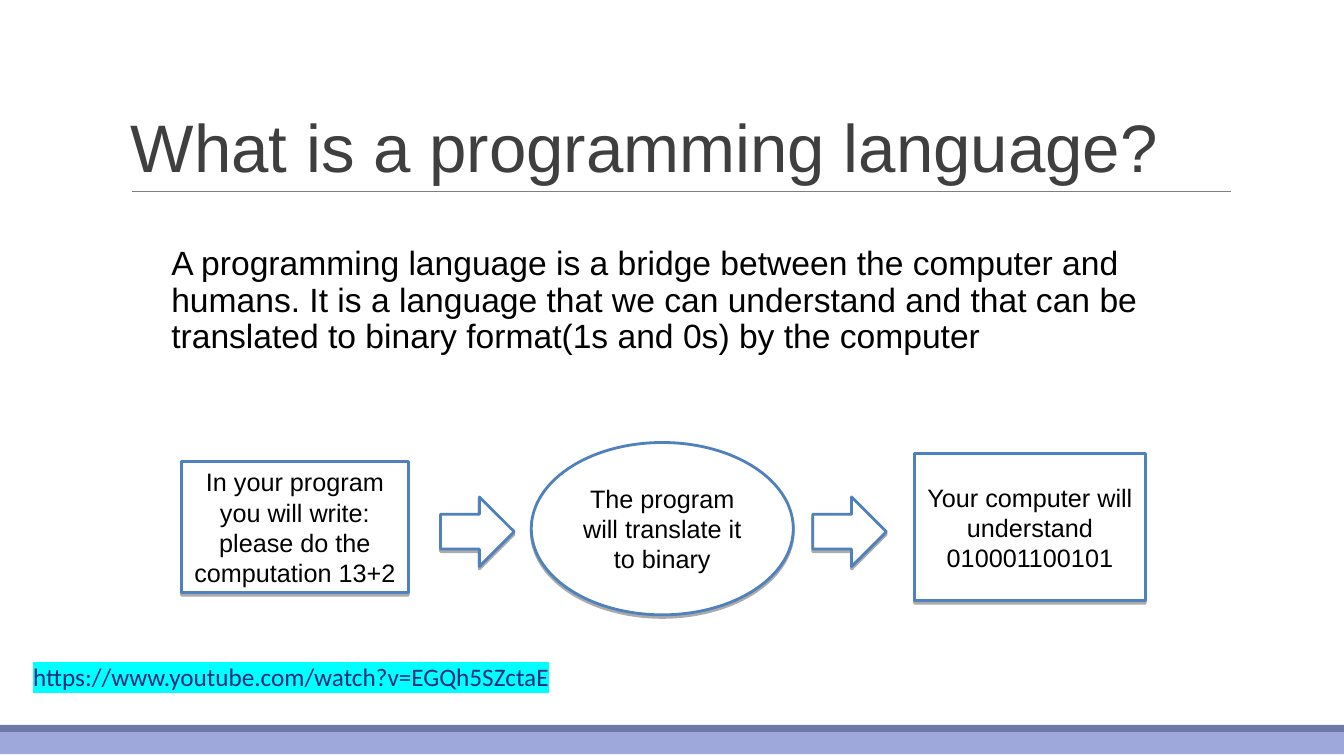
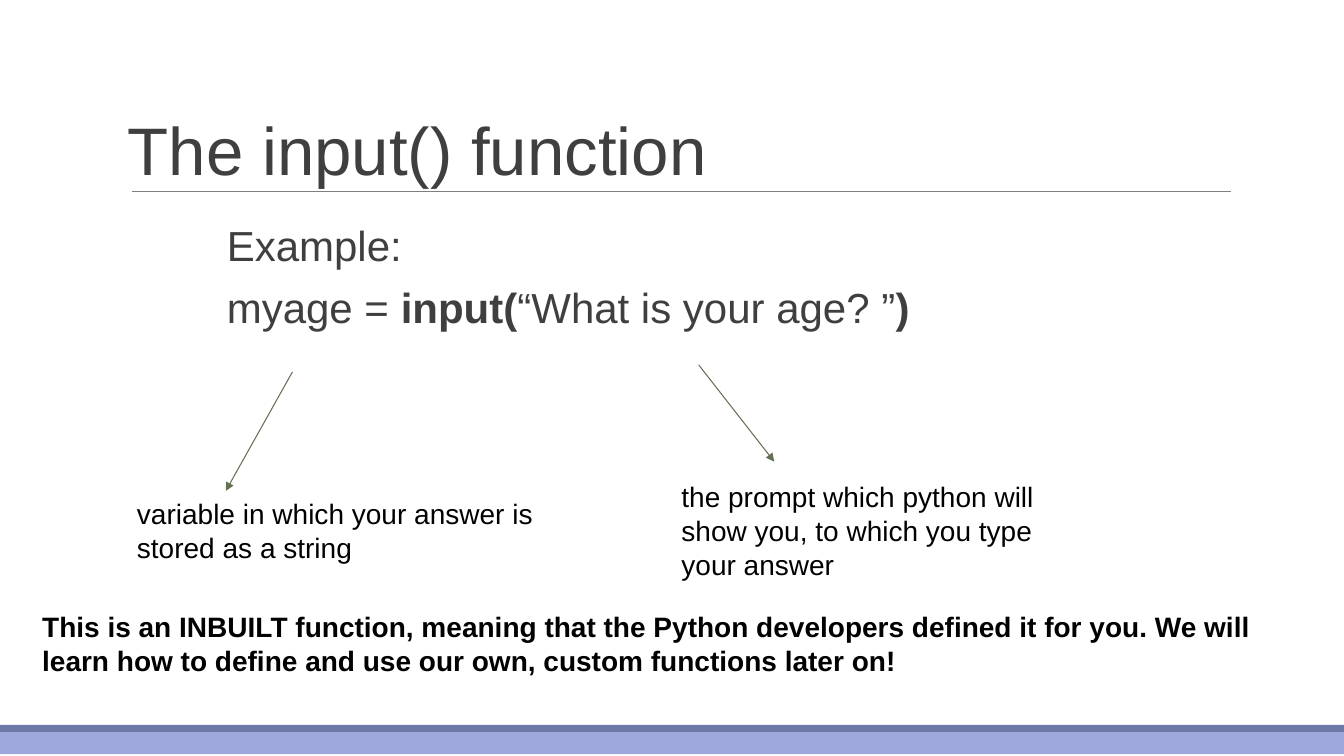
from dataclasses import dataclass

import pptx
import pptx.dml.color
import pptx.enum.shapes
import pptx.enum.text
import pptx.oxml
import pptx.oxml.ns
import pptx.util

Pt = pptx.util.Pt
RGB = pptx.dml.color.RGBColor.from_string
SHAPE = pptx.enum.shapes.MSO_SHAPE
ANCHOR = pptx.enum.text.MSO_ANCHOR
ALIGN = pptx.enum.text.PP_ALIGN
A_NS = pptx.oxml.ns.nsdecls("a")


@dataclass(frozen=True)
class Theme:
    font: str = "Arial"
    link_font: str = "Calibri"
    ink: str = "000000"
    title_ink: str = "3F3F3F"
    paper: str = "FFFFFF"
    band: str = "9FA8DA"
    band_edge: str = "6F79A8"
    rule: str = "7F7F7F"
    outline: str = "4F81BD"
    pointer: str = "637052"
    link: str = "132A7E"
    highlight: str = "00FFFF"
    title_size: int = 48
    code_size: int = 30
    body_size: int = 24
    note_size: int = 20
    label_size: int = 18


theme = Theme()
deck = pptx.Presentation()
deck.slide_width = pptx.util.Inches(13.33)
deck.slide_height = pptx.util.Inches(7.5)


def share(*percents):
    """Turn alternating x and y percentages of the slide into lengths."""
    sides = (deck.slide_width, deck.slide_height)
    return [int(sides[i % 2] * percent / 100) for i, percent in enumerate(percents)]


def write(frame, text, size, color=theme.ink, insets=(7.2, 7.2), anchor=ANCHOR.TOP,
          align=ALIGN.LEFT, spacing=1.0, font=theme.font):
    """Fill a frame, one paragraph per line; parts between asterisks are bold."""
    frame.word_wrap = True
    frame.vertical_anchor = anchor
    frame.margin_left = frame.margin_right = Pt(insets[0])
    frame.margin_top = frame.margin_bottom = Pt(insets[1])
    for number, line in enumerate(text.split("\n")):
        paragraph = frame.add_paragraph() if number else frame.paragraphs[0]
        paragraph.alignment = align
        paragraph.line_spacing = spacing
        paragraph.space_before = Pt(12 if number else 0)
        for position, part in enumerate(line.split("*")):
            if part:
                run = paragraph.add_run()
                run.text = part
                run.font.name = font
                run.font.size = Pt(size)
                run.font.bold = position % 2 == 1
                run.font.color.rgb = RGB(color)


# Title and footer bands
slides = []
for title, left, top in [("What is a programming language?", 9, 4.13),
                         ("The input() function", 8.78, 4.53)]:
    slide = deck.slides.add_slide(deck.slide_layouts[6])
    slides.append(slide)
    for band_top, band_height, color in [(96.67, 3.07, theme.band),
                                         (95.87, 0.93, theme.band_edge)]:
        band = slide.shapes.add_shape(SHAPE.RECTANGLE, *share(0, band_top, 100, band_height))
        band.shadow.inherit = False
        band.fill.solid()
        band.fill.fore_color.rgb = RGB(color)
        band.line.fill.background()
    heading = slide.shapes.add_textbox(*share(left, top, 82.52, 21.2))
    write(heading.text_frame, title, theme.title_size, theme.title_ink,
          insets=(7.2, 3.6), anchor=ANCHOR.BOTTOM, spacing=0.85)
language_slide, input_slide = slides

# From program to binary
flow = [
    (SHAPE.RECTANGLE, (13.5, 61.07, 16.88, 17.33),
     "In your program you will write: please do the computation 13+2"),
    (SHAPE.OVAL, (39.53, 58.53, 19.5, 22.8), "The program will translate it to binary"),
    (SHAPE.RECTANGLE, (68.04, 60, 17.18, 19.47),
     "Your computer will understand 010001100101"),
    (SHAPE.RIGHT_ARROW, (32.78, 65.73, 5.48, 9.2), ""),
    (SHAPE.RIGHT_ARROW, (60.47, 65.73, 5.48, 9.2), ""),
]
for outline, place, label in flow:
    step = language_slide.shapes.add_shape(outline, *share(*place))
    step.fill.solid()
    step.fill.fore_color.rgb = RGB(theme.paper)
    step.line.color.rgb = RGB(theme.outline)
    step.line.width = Pt(2)
    step._element.spPr.append(pptx.oxml.parse_xml(
        f'<a:effectLst {A_NS}><a:outerShdw blurRad="0" dist="{Pt(1.8)}" dir="5400000" '
        'rotWithShape="0"><a:srgbClr val="000000"><a:alpha val="33000"/></a:srgbClr>'
        '</a:outerShdw></a:effectLst>'))
    write(step.text_frame, label, theme.label_size, insets=(3.6, 3.6),
          anchor=ANCHOR.MIDDLE, align=ALIGN.CENTER)

definition = language_slide.shapes.add_textbox(*share(9, 32, 82.52, 13.73))
write(definition.text_frame,
      "A programming language is a bridge between the computer and humans. It is a "
      "language that we can understand and that can be translated to binary "
      "format(1s and 0s) by the computer",
      theme.body_size, insets=(0, 3.6), spacing=0.9)
definition.text_frame.paragraphs[0]._p.get_or_add_pPr().set("marL", str(Pt(36)))

video = language_slide.shapes.add_textbox(*share(1.73, 86.13, 40.51, 6.67))
write(video.text_frame, "https://www.youtube.com/watch?v=EGQh5SZctaE",
      theme.label_size, theme.link, font=theme.link_font)
address = video.text_frame.paragraphs[0].runs[0]
address._r.rPr.find(pptx.oxml.ns.qn("a:latin")).addprevious(pptx.oxml.parse_xml(
    f'<a:highlight {A_NS}><a:srgbClr val="{theme.highlight}"/></a:highlight>'))

# Example call and its notes
example = input_slide.shapes.add_textbox(*share(16.88, 29.07, 82.52, 58.67))
write(example.text_frame, "Example:\nmyage = *input(*“What is your age? ”*)*",
      theme.code_size, theme.title_ink, insets=(0, 3.6), spacing=0.9)

notes = [
    ((9.45, 64.4, 31.96, 11.73), "variable in which your answer is stored as a string"),
    ((49.96, 62.13, 31.96, 16.13),
     "the prompt which python will show you, to which you type your answer"),
    ((2.4, 79.33, 95.12, 11.73),
     "*This is an INBUILT function, meaning that the Python developers defined it for "
     "you. We will learn how to define and use our own, custom functions later on!*"),
]
for place, explanation in notes:
    note = input_slide.shapes.add_textbox(*share(*place))
    write(note.text_frame, explanation, theme.note_size)

# Title rules and pointers
title_rule = (9.83, 25.33, 91.6, 25.33)
lines = [
    (language_slide, title_rule, theme.rule, False),
    (input_slide, title_rule, theme.rule, False),
    (input_slide, (21.76, 49.2, 16.8, 64.93), theme.pointer, True),
    (input_slide, (51.99, 48.27, 57.61, 61.07), theme.pointer, True),
]
for slide, ends, color, has_head in lines:
    stroke = slide.shapes.add_connector(pptx.enum.shapes.MSO_CONNECTOR.STRAIGHT, *share(*ends))
    stroke.line.color.rgb = RGB(color)
    stroke.line.width = Pt(0.75)
    if has_head:
        stroke.line._get_or_add_ln().append(
            pptx.oxml.parse_xml(f'<a:tailEnd {A_NS} type="triangle"/>'))
    stroke._element.spPr.append(pptx.oxml.parse_xml(f"<a:effectLst {A_NS}/>"))

deck.save("out.pptx")
